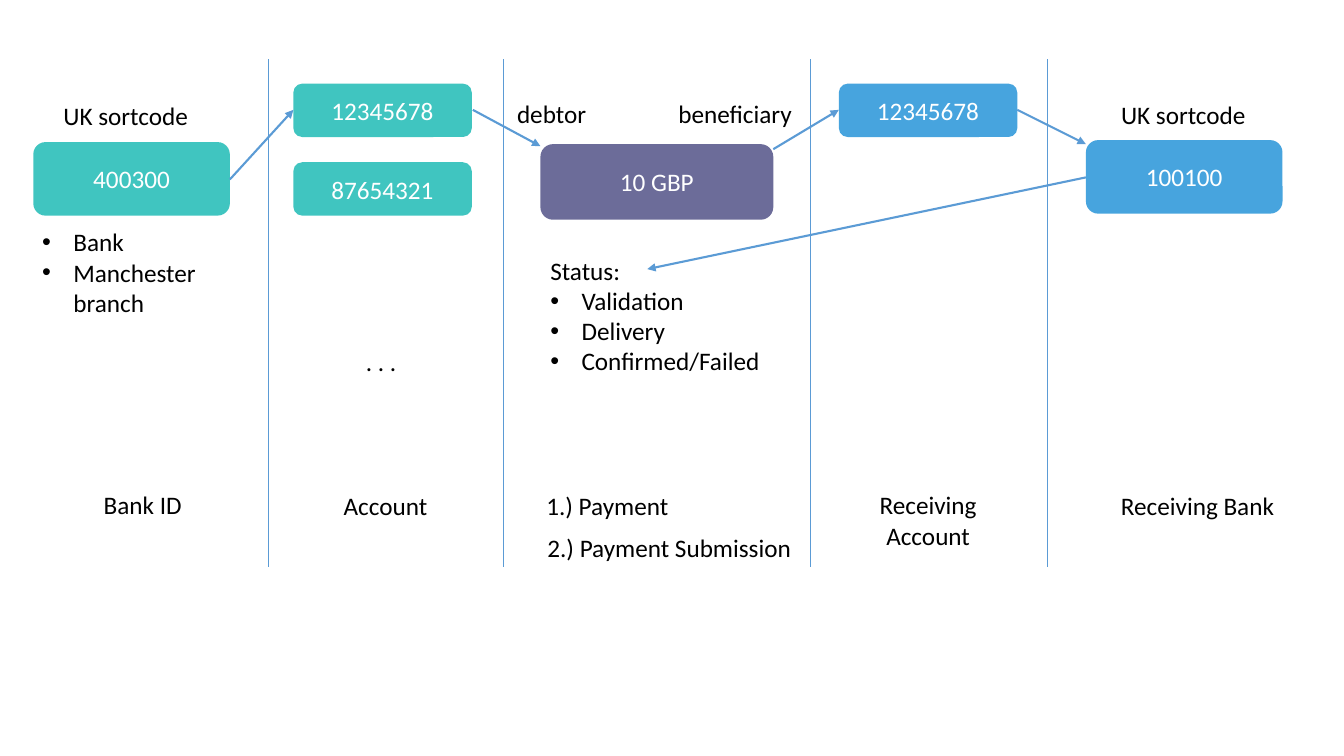
import pptx
import pptx.util
import pptx.dml.color
import pptx.enum.shapes
import pptx.enum.text
import pptx.oxml.ns
import lxml.etree

Inches = pptx.util.Inches
Pt = pptx.util.Pt
ALIGN = pptx.enum.text.PP_ALIGN
FONT = "Calibri"
BLACK, WHITE, LINE = "000000", "FFFFFF", "5B9BD5"
TEAL, BLUE, PURPLE = "00B2AB", "0A86D3", "3C3C78"


def rgb(code):
    """Turn a hex string into a colour."""
    return pptx.dml.color.RGBColor.from_string(code)


def add_child(parent, tag, **attributes):
    """Append a DrawingML element."""
    return lxml.etree.SubElement(parent, pptx.oxml.ns.qn(tag), attributes)


def write(paragraph, words, color, align=ALIGN.LEFT, bullet=False):
    """Write one run into a paragraph, bulleted if asked."""
    paragraph.alignment = align
    run = paragraph.add_run()
    run.text = words
    run.font.name = FONT
    run.font.size = Pt(18)
    run.font.color.rgb = rgb(color)
    if bullet:
        properties = paragraph._p.get_or_add_pPr()
        properties.set("marL", str(Inches(0.31)))
        properties.set("indent", str(-Inches(0.31)))
        add_child(properties, "a:buFont", typeface="Arial")
        add_child(properties, "a:buChar", char="•")


def add_label(slide, box, heading=None, bullets=(), align=ALIGN.LEFT, wrap=False):
    """Add black text: an optional heading, then bullets."""
    frame = slide.shapes.add_textbox(*map(Inches, box)).text_frame
    frame.word_wrap = wrap
    lines = [(heading, False)] if heading else []
    lines += [(item, True) for item in bullets]
    for index, (words, bullet) in enumerate(lines):
        paragraph = frame.add_paragraph() if index else frame.paragraphs[0]
        write(paragraph, words, BLACK, align, bullet)


def add_card(slide, box, words, color):
    """Add a translucent rounded card with centred white text."""
    card = slide.shapes.add_shape(
        pptx.enum.shapes.MSO_SHAPE.ROUNDED_RECTANGLE, *map(Inches, box))
    card.shadow.inherit = False
    card.fill.solid()
    card.fill.fore_color.rgb = rgb(color)
    shade = card.fill._xPr.find(".//" + pptx.oxml.ns.qn("a:srgbClr"))
    add_child(shade, "a:alpha", val="75000")
    card.line.fill.background()
    card.text_frame.vertical_anchor = pptx.enum.text.MSO_ANCHOR.MIDDLE
    write(card.text_frame.paragraphs[0], words, WHITE, ALIGN.CENTER)


def add_line(slide, start, end, width, arrow=False):
    """Add a straight line, with an arrowhead at its end if asked."""
    line = slide.shapes.add_connector(
        pptx.enum.shapes.MSO_CONNECTOR.STRAIGHT, *map(Inches, start + end))
    line.line.color.rgb = rgb(LINE)
    line.line.width = Pt(width)
    if arrow:
        add_child(line.line._get_or_add_ln(), "a:tailEnd", type="triangle")
    add_child(line._element.spPr, "a:effectLst")


def main():
    """Build the payment flow slide."""
    deck = pptx.Presentation()
    deck.slide_width, deck.slide_height = Inches(13.33), Inches(7.5)
    slide = deck.slides.add_slide(deck.slide_layouts[6])

    for left, top, width, caption in (
            (0.93, 4.81, 0.98, "Bank ID"),
            (3.31, 4.82, 1.04, "Account"),
            (5.32, 4.82, 1.43, "1.) Payment"),
            (5.33, 5.23, 2.65, "2.) Payment Submission"),
            (11.02, 4.82, 1.84, "Receiving Bank"),
            (0.53, 0.95, 1.45, "UK sortcode"),
            (11.02, 0.94, 1.45, "UK sortcode"),
            (5.03, 0.93, 0.9, "debtor"),
            (6.63, 0.93, 1.35, "beneficiary"),
            (3.53, 3.39, 0.51, ". . .")):
        add_label(slide, (left, top, width, 0.4), caption)
    add_label(slide, (8.38, 4.81, 1.65, 0.71), "Receiving Account",
              align=ALIGN.CENTER, wrap=True)
    add_label(slide, (0.32, 2.2, 1.96, 1.01),
              bullets=("Bank", "Manchester branch"), wrap=True)
    add_label(slide, (5.36, 2.48, 2.3, 1.31), "Status:",
              ("Validation", "Delivery", "Confirmed/Failed"))

    bank_size, account_size = (1.95, 0.73), (1.77, 0.53)
    add_card(slide, (0.33, 1.41) + bank_size, "400300", TEAL)
    add_card(slide, (10.77, 1.39) + bank_size, "100100", BLUE)
    add_card(slide, (2.91, 0.83) + account_size, "12345678", TEAL)
    add_card(slide, (2.91, 1.61) + account_size, "87654321", TEAL)
    add_card(slide, (8.32, 0.83) + account_size, "12345678", BLUE)
    add_card(slide, (5.36, 1.43, 2.31, 0.75), "10 GBP", PURPLE)

    for divider in (2.66, 4.99, 8.04, 10.39):
        add_line(slide, (divider, 0.59), (divider, 5.63), 0.5)
    for start, end in (
            ((2.28, 1.78), (2.91, 1.09)),
            ((4.69, 1.09), (5.36, 1.45)),
            ((7.67, 1.48), (8.32, 1.09)),
            ((10.09, 1.09), (10.77, 1.43)),
            ((10.77, 1.76), (6.42, 2.67))):
        add_line(slide, start, end, 1.5, arrow=True)

    deck.save("out.pptx")


main()
